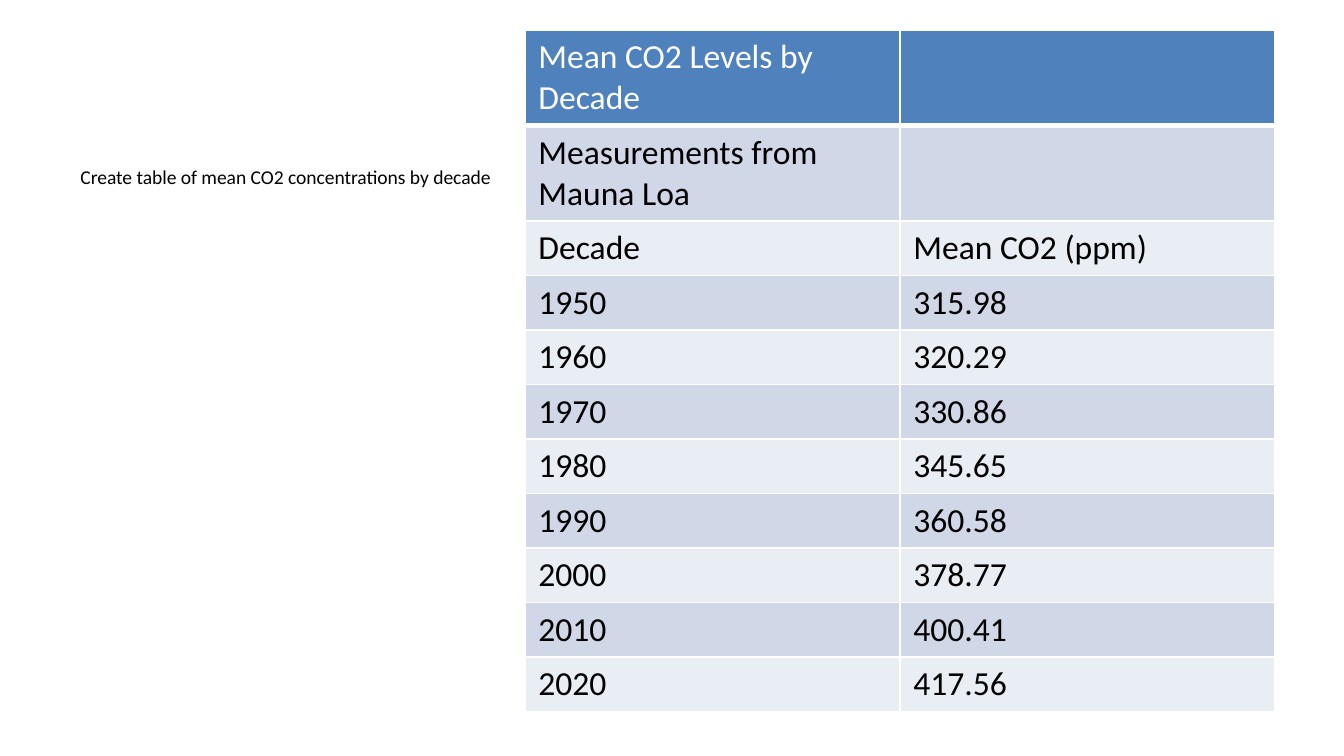
"""Builds a slide with a table of mean CO2 levels by decade."""
import pptx
import pptx.dml.color
import pptx.enum.text
import pptx.oxml
import pptx.oxml.ns
import pptx.util

EMU_PER_PX = 914400 / 134.4
FONT = "Calibri"
COLORS = {
    "header": "4F81BD",
    "odd_band": "D0D8E8",
    "even_band": "E9EDF4",
    "light": "FFFFFF",
    "dark": "000000",
}
ROWS = [
    ("Mean CO2 Levels by Decade", ""),
    ("Measurements from Mauna Loa", ""),
    ("Decade", "Mean CO2 (ppm)"),
    ("1950", "315.98"),
    ("1960", "320.29"),
    ("1970", "330.86"),
    ("1980", "345.65"),
    ("1990", "360.58"),
    ("2000", "378.77"),
    ("2010", "400.41"),
    ("2020", "417.56"),
]
WRAPPED_ROWS = 2


def px(length):
    """Turn whole pixels into EMU."""
    return pptx.util.Emu(round(length * EMU_PER_PX))


def rgb(name):
    """Look up a named colour."""
    return pptx.dml.color.RGBColor.from_string(COLORS[name])


def style_paragraph(paragraph, size, color):
    """Set the font of a whole paragraph."""
    paragraph.font.name = FONT
    paragraph.font.size = pptx.util.Pt(size)
    paragraph.font.color.rgb = rgb(color)


def add_borders(cell, bottom_width):
    """Draw light borders round a cell."""
    properties = cell._tc.get_or_add_tcPr()
    for side, width in (("L", 1), ("R", 1), ("T", 1), ("B", bottom_width)):
        properties.append(pptx.oxml.parse_xml(
            f'<a:ln{side} {pptx.oxml.ns.nsdecls("a")} w="{pptx.util.Pt(width)}">'
            f'<a:solidFill><a:srgbClr val="{COLORS["light"]}"/></a:solidFill>'
            f'</a:ln{side}>'))


def fill_cell(cell, text, row_index):
    """Write and colour one cell according to its row."""
    is_header = row_index == 0
    band = "odd_band" if row_index % 2 else "even_band"
    add_borders(cell, 3 if is_header else 1)
    cell.fill.solid()
    cell.fill.fore_color.rgb = rgb("header" if is_header else band)
    cell.text = text
    style_paragraph(cell.text_frame.paragraphs[0], 18, "light" if is_header else "dark")


def add_co2_table(slide):
    """Add the table of decades and mean levels."""
    heights = [95 if index < WRAPPED_ROWS else 54 for index in range(len(ROWS))]
    table = slide.shapes.add_table(
        len(ROWS), 2, px(525), px(30), px(750), px(sum(heights))).table
    for row_index, (texts, height) in enumerate(zip(ROWS, heights)):
        table.rows[row_index].height = px(height)
        for column_index, text in enumerate(texts):
            fill_cell(table.cell(row_index, column_index), text, row_index)


def add_caption(slide):
    """Put the caption in the body placeholder and drop the unused ones."""
    unused_title, unused_content, caption = slide.placeholders
    for unused in (unused_title, unused_content):
        unused.element.getparent().remove(unused.element)
    caption.left, caption.top = px(67), px(158)
    caption.width, caption.height = px(442), px(518)
    caption.text_frame.text = "Create table of mean CO2 concentrations by decade"
    caption.text_frame.vertical_anchor = pptx.enum.text.MSO_ANCHOR.TOP
    style_paragraph(caption.text_frame.paragraphs[0], 10.5, "dark")


def main():
    """Build and save the slide."""
    presentation = pptx.Presentation()
    presentation.slide_width, presentation.slide_height = px(1344), px(756)
    content_with_caption = presentation.slide_layouts[7]
    slide = presentation.slides.add_slide(content_with_caption)
    add_caption(slide)
    add_co2_table(slide)
    presentation.save("out.pptx")


if __name__ == "__main__":
    main()
